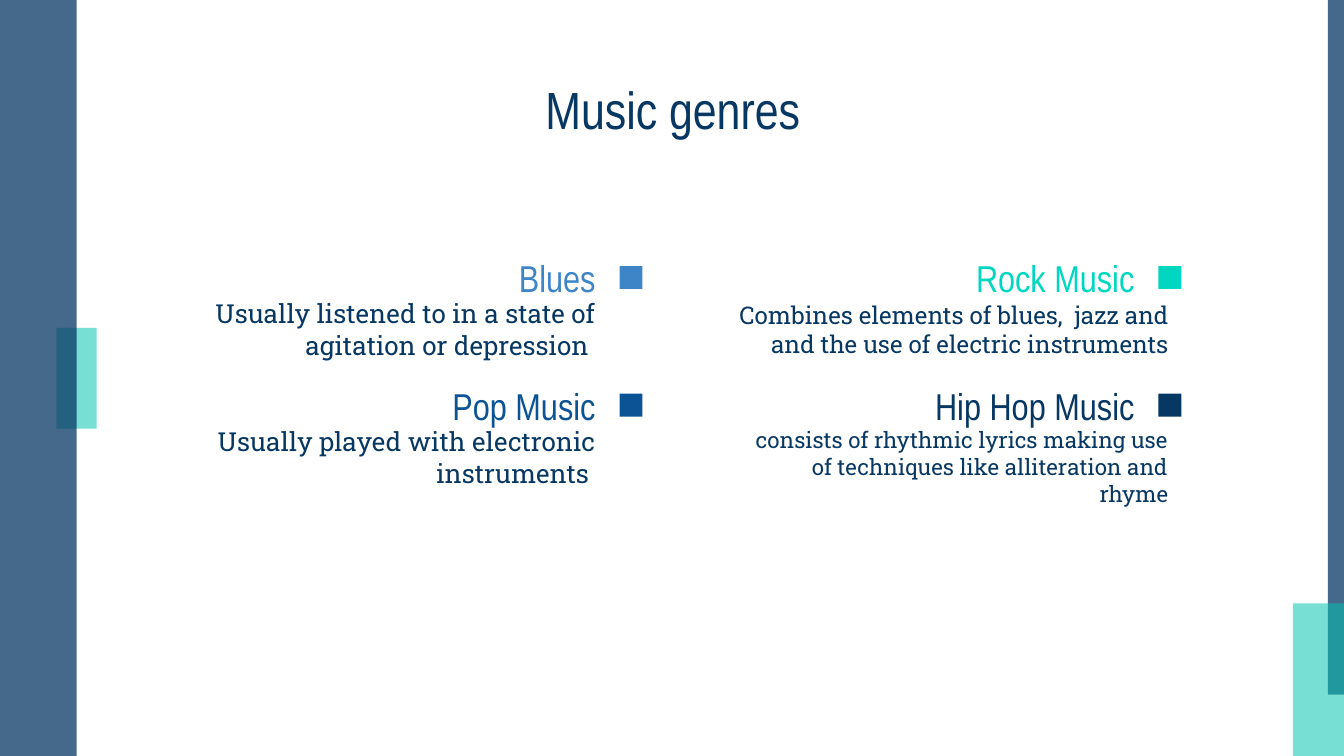
from lxml import etree
from pptx import Presentation
from pptx.dml.color import RGBColor
from pptx.enum.shapes import MSO_SHAPE
from pptx.enum.text import MSO_ANCHOR, MSO_AUTO_SIZE, PP_ALIGN
from pptx.oxml.ns import qn
from pptx.util import Inches, Pt

RECT = MSO_SHAPE.RECTANGLE
TOP, MIDDLE = MSO_ANCHOR.TOP, MSO_ANCHOR.MIDDLE
CENTER, RIGHT = PP_ALIGN.CENTER, PP_ALIGN.RIGHT
HEAD, BODY = "Arial Narrow", "Roboto Slab"
COLORS = {
    "navy": "073763",
    "teal": "00C3B1",
    "aqua": "00D6C0",
    "sky": "3D85C6",
    "blue": "0B5394",
    "white": "FFFFFF",
}

WIDTH = 10
HEIGHT = WIDTH * 9 / 16
COLS, ROWS = (1.21, 5.22), (1.9, 2.85)
CELL_W, CELL_H = 3.57, 0.68

# Name, colour, description, its size, and its box relative to the cell
GENRES = [
    ("Blues", "sky", "Usually listened to in a state of agitation or depression ",
     14, (0, 0.42, 3.32)),
    ("Rock Music", "aqua",
     "Combines elements of blues,  jazz and and the use of electric instruments",
     13, (0, 0.42, 3.57)),
    ("Pop Music", "blue", "Usually played with electronic instruments ",
     14, (0, 0.42, 3.32)),
    ("Hip Hop Music", "navy",
     "consists of rhythmic lyrics making use of techniques like alliteration and rhyme",
     12, (0.25, 0.49, 3.32)),
]


def rgb(name):
    return RGBColor.from_string(COLORS[name])


def place(shape, box):
    shape.left, shape.top, shape.width, shape.height = map(Inches, box)


def add_rect(slide, box, color, alpha=None):
    """Add a plain rectangle; alpha is its opacity in percent."""
    shape = slide.shapes.add_shape(RECT, *map(Inches, box))
    shape.shadow.inherit = False
    shape.line.fill.background()
    shape.fill.solid()
    shape.fill.fore_color.rgb = rgb(color)
    if alpha is not None:
        tint = shape.fill._xPr.find(".//" + qn("a:srgbClr"))
        etree.SubElement(tint, qn("a:alpha"), val=str(alpha * 1000))


def write(shape, text, *, size, font=BODY, color="navy", align=RIGHT,
          anchor=MIDDLE, pad=0, after=0):
    frame = shape.text_frame
    frame.word_wrap = True
    frame.auto_size = MSO_AUTO_SIZE.NONE
    frame.vertical_anchor = anchor
    frame.margin_left = frame.margin_right = Inches(0.1)
    frame.margin_top = frame.margin_bottom = Inches(pad)
    para = frame.paragraphs[0]
    para.alignment = align
    para.space_before, para.space_after = Pt(0), Pt(after)
    run = para.add_run()
    run.text = text
    run.font.name, run.font.size = font, Pt(size)
    run.font.color.rgb = rgb(color)


def add_text(slide, box, text, **style):
    write(slide.shapes.add_textbox(*map(Inches, box)), text, **style)


def add_frame(slide, box):
    """Add the bars and accents along the left and right edges."""
    x, y, w, h = box
    right = x + w
    add_rect(slide, (x + 0.42, y + 2.44, 0.3, 0.75), "teal", 53)
    add_rect(slide, (x, y, 0.57, h), "navy", 75)
    add_rect(slide, (right - 0.12, y, 0.12, 5.17), "navy", 75)
    add_rect(slide, (right - 0.38, y + 4.49, 0.38, h - 4.49), "teal", 53)


def add_title(slide, box):
    title = slide.shapes.title
    place(title, box)
    write(title, "Music genres", size=28, font=HEAD, align=CENTER, pad=0.1)


def add_genre(slide, box, genre):
    x, y, w, _ = box
    name, color, about, size, (dx, dy, wide) = genre
    add_text(slide, (x + dx, y + dy, wide, 0.26), about, size=size)
    add_text(slide, (x, y, w - 0.25, 0.35), name, size=20, font=HEAD,
             color=color, anchor=TOP, after=16)
    add_rect(slide, (x + w - 0.17, y + 0.08, 0.17, 0.17), color)


def main():
    deck = Presentation()
    deck.slide_width, deck.slide_height = Inches(WIDTH), Inches(HEIGHT)
    slide = deck.slides.add_slide(deck.slide_layouts[5])
    slide.background.fill.solid()
    slide.background.fill.fore_color.rgb = rgb("white")
    add_frame(slide, (0, 0, WIDTH, HEIGHT))
    add_title(slide, (0.79, 0.59, 8.43, 0.44))
    for i, genre in enumerate(GENRES):
        row, col = divmod(i, len(COLS))
        add_genre(slide, (COLS[col], ROWS[row], CELL_W, CELL_H), genre)
    deck.save("out.pptx")


if __name__ == "__main__":
    main()
